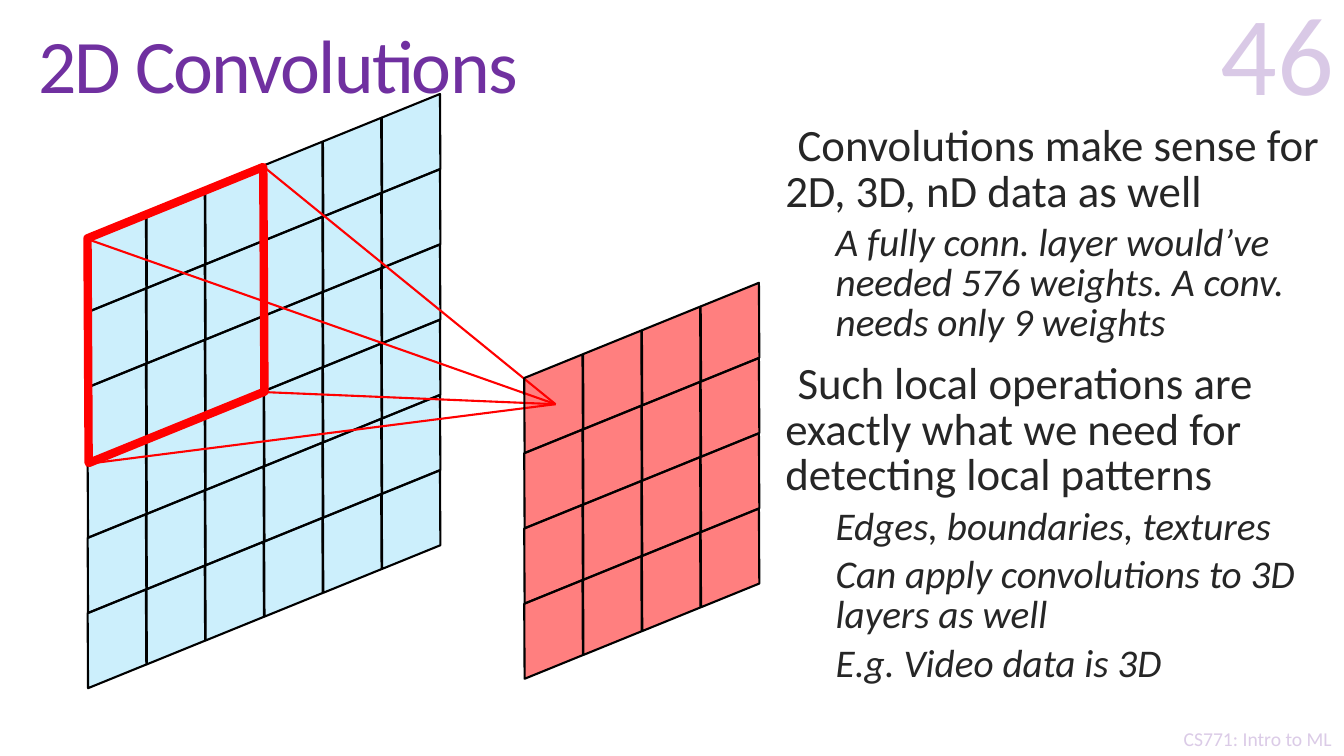
"""Builds the 2D Convolutions slide with its input grid, filter window and output grid."""
import pptx
import pptx.dml.color
import pptx.enum.shapes
import pptx.enum.text
import pptx.oxml
import pptx.oxml.ns
import pptx.util
import lxml.etree

Inches = pptx.util.Inches
Pt = pptx.util.Pt
ANCHOR = pptx.enum.text.MSO_ANCHOR
ALIGN = pptx.enum.text.PP_ALIGN
SHAPE = pptx.enum.shapes.MSO_SHAPE
qn = pptx.oxml.ns.qn

COLOURS = {"purple": "7030A0", "body": "262626", "input": "00B0F0",
           "red": "FF0000", "black": "000000", "white": "FFFFFF"}
TILT = 157.9
LEVELS = [dict(margin=0.1, size=32, before=13, italic=False),
          dict(margin=0.6, size=28, before=6, italic=True)]


class Deck:
    def __init__(self):
        self.presentation = pptx.Presentation()
        self.presentation.slide_width = Inches(13.33)
        self.presentation.slide_height = Inches(7.5)
        self.slide = self.presentation.slides.add_slide(self.presentation.slide_layouts[6])
        self.font = "Calibri"

    def paint(self, colour_format, colour, opacity=100):
        colour_format.rgb = pptx.dml.color.RGBColor.from_string(COLOURS[colour])
        if opacity < 100:
            rgb = colour_format._color._xClr
            lxml.etree.SubElement(rgb, qn("a:alpha"), val=str(opacity * 1000))

    def frame(self, left, top, width, height, anchor=ANCHOR.TOP, wrap=True):
        frame = self.slide.shapes.add_textbox(
            Inches(left), Inches(top), Inches(width), Inches(height)).text_frame
        frame.word_wrap = wrap
        frame.vertical_anchor = anchor
        return frame

    def run(self, paragraph, text, size, colour, opacity=100, italic=False):
        run = paragraph.add_run()
        run.text = text
        run.font.name = self.font
        run.font.size = Pt(size)
        run.font.italic = italic
        run.font.fill.solid()
        self.paint(run.font.fill.fore_color, colour, opacity)
        return run

    def label(self, box, text, size, align, opacity=100, anchor=ANCHOR.TOP, wrap=True):
        paragraph = self.frame(*box, anchor, wrap).paragraphs[0]
        paragraph.alignment = align
        return self.run(paragraph, text, size, "purple", opacity)

    def outline(self, box, points):
        frame = self.frame(*box)
        for index, (level, text) in enumerate(points):
            style = LEVELS[level]
            paragraph = frame.add_paragraph() if index else frame.paragraphs[0]
            properties = paragraph._p.get_or_add_pPr()
            properties.set("marL", str(Inches(style["margin"])))
            properties.set("indent", str(-Inches(style["margin"])))
            lxml.etree.SubElement(properties, qn("a:buChar"), char=" ")
            paragraph.level = level
            paragraph.line_spacing = 0.85
            paragraph.space_before = Pt(style["before"] if index else 0)
            self.run(paragraph, text, style["size"], "body", italic=style["italic"])

    def shape(self, kind, box, fill=None, opacity=100, line=None, weight=1.5):
        shape = self.slide.shapes.add_shape(kind, *map(Inches, box))
        shape.shadow.inherit = False
        if fill:
            shape.fill.solid()
            self.paint(shape.fill.fore_color, fill, opacity)
        else:
            shape.fill.background()
        if line:
            self.paint(shape.line.color, line)
            shape.line.width = Pt(weight)
        else:
            shape.line.fill.background()
        return shape

    def tile(self, box, **style):
        tile = self.shape(SHAPE.PARALLELOGRAM, box, **style)
        tile.adjustments[0] = 0.4
        tile.rotation = TILT

    def grid(self, left, top, count, fill, opacity):
        for column in range(count):
            for row in range(count):
                x = left + column * 1.75 / 3
                y = top - column * 0.71 / 3 + row * 2.24 / 3
                self.tile((x, y, 0.9, 0.69), fill=fill, opacity=opacity, line="black")

    def ray(self, start, end):
        ray = self.slide.shapes.add_connector(
            pptx.enum.shapes.MSO_CONNECTOR.STRAIGHT, *map(Inches, start + end))
        self.paint(ray.line.color, "red")
        ray.line.width = Pt(1.5)
        lxml.etree.SubElement(ray._element.spPr, qn("a:effectLst"))


def main():
    deck = Deck()
    deck.label((11.52, 7.16, 1.91, 0.34), "CS771: Intro to ML", 14, ALIGN.CENTER, wrap=False)
    deck.shape(SHAPE.RECTANGLE, (11.64, 5.68, 1.69, 1.82), fill="white", opacity=75)
    title = deck.label((0.28, 0.04, 12.69, 1.18), "2D Convolutions", 54, ALIGN.LEFT,
                       anchor=ANCHOR.MIDDLE)
    title._r.get_or_add_rPr().set("spc", "-120")
    title._r.getparent().get_or_add_pPr()
    deck.label((10.13, 0.05, 3.2, 1.17), "46", 80, ALIGN.RIGHT, opacity=25,
               anchor=ANCHOR.BOTTOM)
    deck.outline((7.59, 1.19, 5.74, 6.31), [
        (0, "Convolutions make sense for 2D, 3D, nD data as well"),
        (1, "A fully conn. layer would’ve needed 576 weights. A conv. needs only 9 weights"),
        (0, "Such local operations are exactly what we need for detecting local patterns"),
        (1, "Edges, boundaries, textures"),
        (1, "Can apply convolutions to 3D layers as well"),
        (1, "E.g. Video data is 3D"),
    ])

    deck.grid(0.71, 2.26, 6, "input", 20)
    deck.tile((0.39, 2.09, 2.71, 2.07), line="red", weight=6)
    for window_corner in [(0.89, 2.38), (2.61, 1.65), (0.88, 4.6), (2.62, 3.89)]:
        deck.ray(window_corner, (5.51, 4.01))
    deck.grid(5.04, 3.66, 4, "red", 50)

    deck.presentation.save("out.pptx")


if __name__ == "__main__":
    main()
